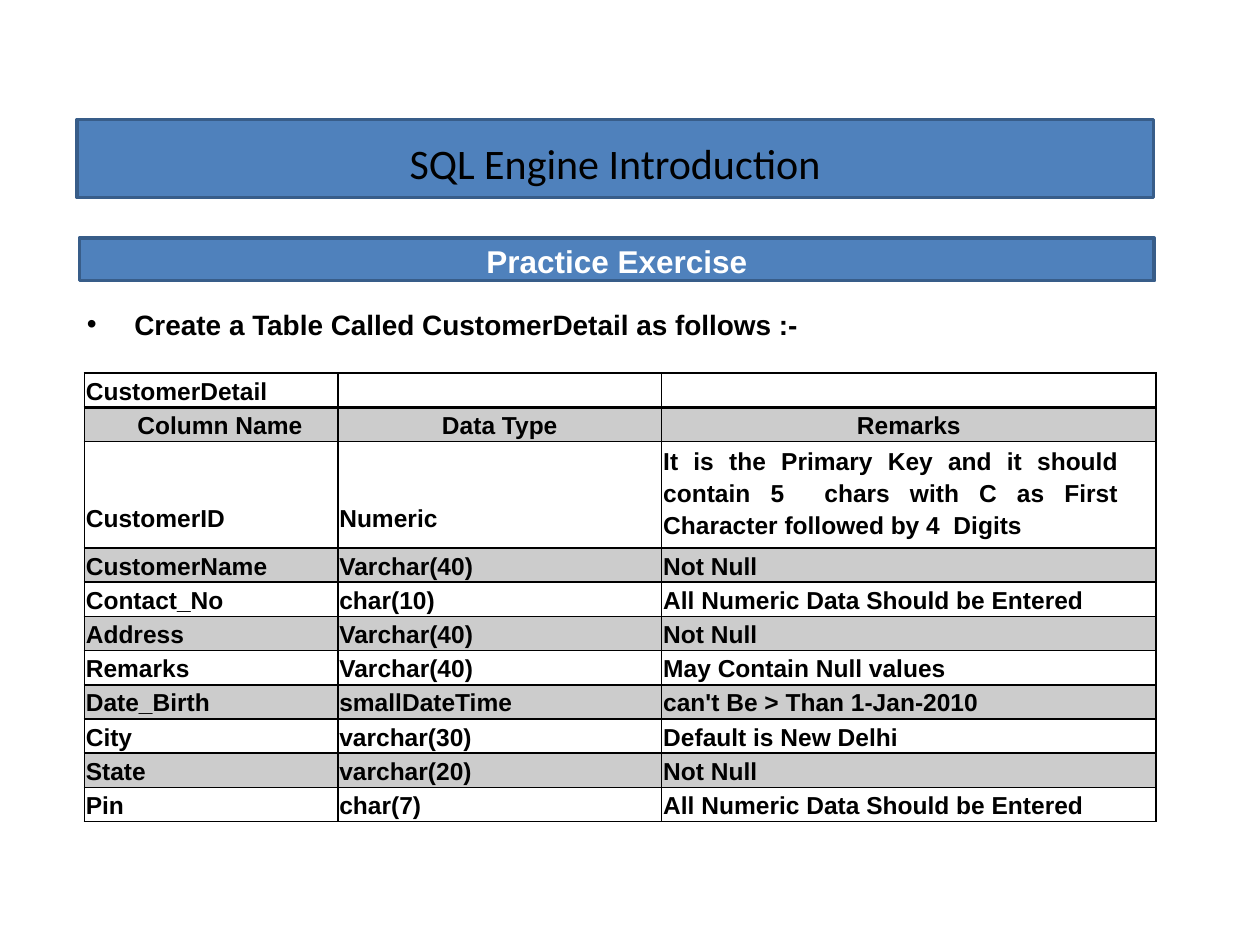
from dataclasses import dataclass

import pptx
import pptx.dml.color
import pptx.enum.shapes
import pptx.enum.text
import pptx.oxml
import pptx.oxml.ns
import pptx.util
from lxml import etree

Cm, Pt = pptx.util.Cm, pptx.util.Pt
ALIGN = pptx.enum.text.PP_ALIGN
ANCHOR = pptx.enum.text.MSO_ANCHOR
qn = pptx.oxml.ns.qn

COLORS = {"bar": "4F81BC", "bar_line": "385D89", "ink": "000000", "light": "FFFFFF"}
COLUMN_WIDTHS = (5.11, 6.53, 9.96)
ROW_HEIGHT, KEY_ROW_HEIGHT = 0.69, 2.15
HEADER_ROW, KEY_ROW = 1, 2


@dataclass
class Box:
    left: float
    top: float
    width: float
    height: float

    def lengths(self) -> tuple:
        return Cm(self.left), Cm(self.top), Cm(self.width), Cm(self.height)


@dataclass
class Style:
    size: float
    font: str = "Arial"
    color: str = "ink"
    bold: bool = True


@dataclass
class Column:
    name: str
    data_type: str
    remarks: str


CELL_STYLE = Style(14)
ROWS = [
    Column("CustomerDetail", "", ""),
    Column("Column Name", "Data Type", "Remarks"),
    Column("CustomerID", "Numeric",
           "It is the Primary Key and it should contain 5  chars with C as First "
           "Character followed by 4  Digits"),
    Column("CustomerName", "Varchar(40)", "Not Null"),
    Column("Contact_No", "char(10)", "All Numeric Data Should be Entered"),
    Column("Address", "Varchar(40)", "Not Null"),
    Column("Remarks", "Varchar(40)", "May Contain Null values"),
    Column("Date_Birth", "smallDateTime", "can't Be > Than 1-Jan-2010"),
    Column("City", "varchar(30)", "Default is New Delhi"),
    Column("State", "varchar(20)", "Not Null"),
    Column("Pin", "char(7)", "All Numeric Data Should be Entered"),
]


def rgb(name: str) -> pptx.dml.color.RGBColor:
    return pptx.dml.color.RGBColor.from_string(COLORS[name])


def add_run(paragraph, text: str, style: Style) -> None:
    run = paragraph.add_run()
    run.text = text
    run.font.name = style.font
    run.font.size = Pt(style.size)
    run.font.bold = style.bold
    run.font.color.rgb = rgb(style.color)


def set_insets(frame, top: float) -> None:
    frame.margin_left = frame.margin_right = frame.margin_bottom = 0
    frame.margin_top = Cm(top)
    frame.word_wrap = True
    frame.auto_size = pptx.enum.text.MSO_AUTO_SIZE.NONE


def format_bar(bar, box: Box, text: str, style: Style, anchor, inset: float) -> None:
    bar.left, bar.top, bar.width, bar.height = box.lengths()
    bar.fill.solid()
    bar.fill.fore_color.rgb = rgb("bar")
    bar.line.color.rgb = rgb("bar_line")
    bar.line.width = Pt(2)
    set_insets(bar.text_frame, inset)
    bar.text_frame.vertical_anchor = anchor
    paragraph = bar.text_frame.paragraphs[0]
    paragraph.alignment = ALIGN.CENTER
    add_run(paragraph, text, style)


def add_bullet(slide, box: Box, text: str, style: Style) -> None:
    frame = slide.shapes.add_textbox(*box.lengths()).text_frame
    set_insets(frame, 0.03)
    paragraph = frame.paragraphs[0]
    properties = paragraph._p.get_or_add_pPr()
    properties.set("marL", str(Cm(0.99)))
    properties.set("indent", str(-Cm(0.96)))
    etree.SubElement(properties, qn("a:buFont")).set("typeface", "Arial")
    etree.SubElement(properties, qn("a:buChar")).set("char", "•")
    add_run(paragraph, text, style)


def set_borders(cell, row: int) -> None:
    heavy_side = {0: "lnB", 1: "lnT"}.get(row)
    properties = cell._tc.get_or_add_tcPr()
    for side in ("lnL", "lnR", "lnT", "lnB"):
        line = etree.SubElement(properties, qn(f"a:{side}"))
        line.set("w", str(Pt(2 if side == heavy_side else 1)))
        fill = etree.SubElement(line, qn("a:solidFill"))
        etree.SubElement(fill, qn("a:srgbClr")).set("val", COLORS["ink"])


def set_shade(cell, shaded: bool) -> None:
    if not shaded:
        cell.fill.background()
        return
    cell.fill.solid()
    cell.fill.fore_color.rgb = rgb("ink")
    color = cell._tc.tcPr.find(f"{qn('a:solidFill')}/{qn('a:srgbClr')}")
    etree.SubElement(color, qn("a:alpha")).set("val", "20000")


def fill_cell(cell, row: int, column: int, text: str) -> None:
    cell.margin_left = cell.margin_right = cell.margin_top = cell.margin_bottom = 0
    set_borders(cell, row)
    set_shade(cell, row % 2 == 1)
    paragraph = cell.text_frame.paragraphs[0]
    paragraph.line_spacing = 1.18
    indent = 0.03
    if row == HEADER_ROW:
        indent = 0 if column else 1.07
        paragraph.alignment = ALIGN.CENTER if column else ALIGN.LEFT
    elif row == KEY_ROW and column == 2:
        paragraph.alignment = ALIGN.JUSTIFY
        cell.margin_right, cell.margin_top = Cm(0.76), Cm(0.03)
    elif row == KEY_ROW:
        cell.vertical_anchor = ANCHOR.BOTTOM
        cell.margin_bottom = Cm(0.3)
    paragraph._p.get_or_add_pPr().set("marL", str(Cm(indent)))
    if text:
        add_run(paragraph, text, CELL_STYLE)
    else:
        end = etree.SubElement(paragraph._p, qn("a:endParaRPr"))
        end.set("sz", str(CELL_STYLE.size * 100))


def add_column_table(slide, left: float, top: float) -> None:
    heights = [KEY_ROW_HEIGHT if i == KEY_ROW else ROW_HEIGHT for i in range(len(ROWS))]
    box = Box(left, top, sum(COLUMN_WIDTHS), sum(heights))
    table = slide.shapes.add_table(len(ROWS), len(COLUMN_WIDTHS), *box.lengths()).table
    table.first_row = table.horz_banding = False
    for column, width in zip(table.columns, COLUMN_WIDTHS):
        column.width = Cm(width)
    for i, (entry, height) in enumerate(zip(ROWS, heights)):
        table.rows[i].height = Cm(height)
        for j, text in enumerate((entry.name, entry.data_type, entry.remarks)):
            fill_cell(table.cell(i, j), i, j, text)


def main() -> None:
    deck = pptx.Presentation()
    deck.slide_width, deck.slide_height = Cm(25.4), Cm(19.05)
    slide = deck.slides.add_slide(deck.slide_layouts[5])

    # Heading bars
    format_bar(slide.shapes.title, Box(1.55, 2.41, 21.7, 1.57), "SQL Engine Introduction",
               Style(24, "Calibri", bold=False), ANCHOR.MIDDLE, 0.15)
    exercise_box = Box(1.6, 4.8, 21.67, 0.86)
    exercise = slide.shapes.add_shape(
        pptx.enum.shapes.MSO_SHAPE.RECTANGLE, *exercise_box.lengths())
    exercise.shadow.inherit = False
    format_bar(exercise, exercise_box, "Practice Exercise",
               Style(18, color="light"), ANCHOR.TOP, 0.08)

    # Task and the table it describes
    add_bullet(slide, Box(1.72, 6.17, 21.56, 0.71),
               "Create a Table Called CustomerDetail as follows :-", Style(16))
    add_column_table(slide, 1.7, 7.52)

    deck.save("out.pptx")


if __name__ == "__main__":
    main()
